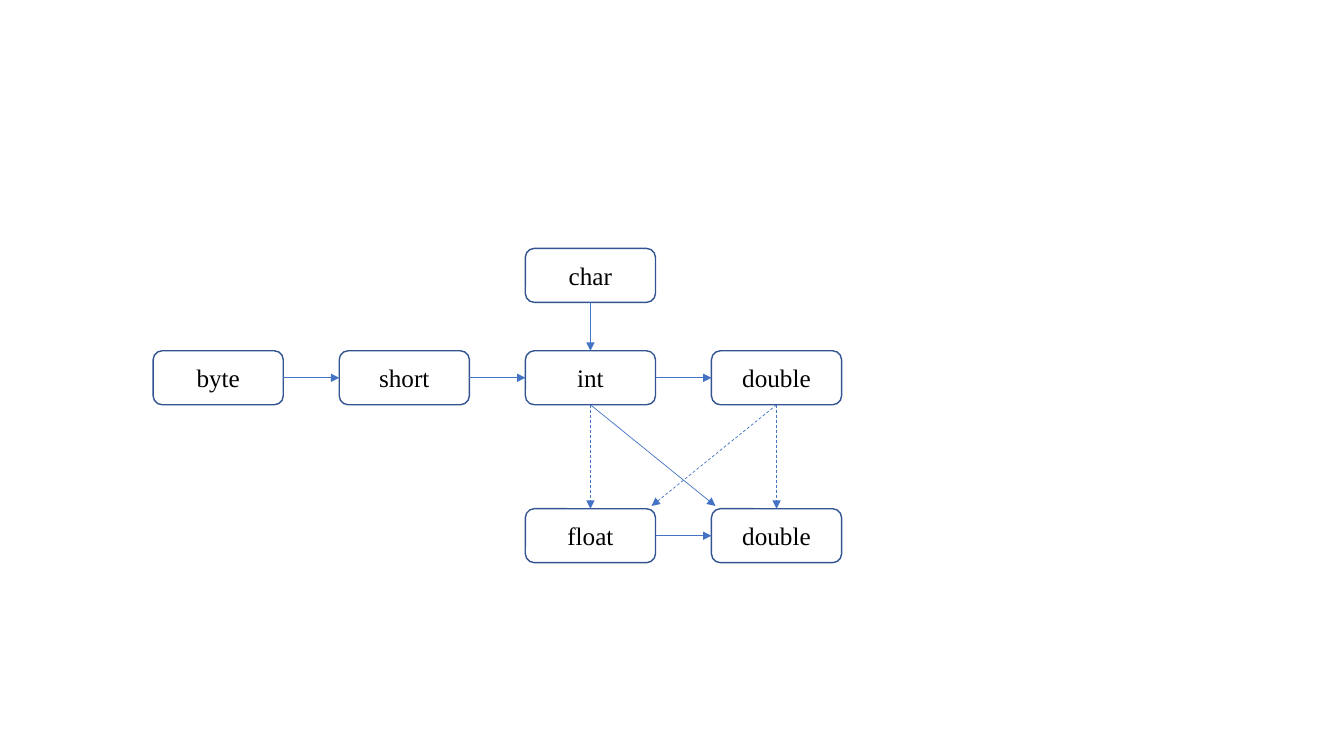
import pptx
import pptx.util
import pptx.dml.color
import pptx.enum.dml
import pptx.enum.shapes
import pptx.enum.text
import pptx.oxml.ns
import lxml.etree

Cm = pptx.util.Cm
Pt = pptx.util.Pt
BORDER = pptx.dml.color.RGBColor(0x32, 0x54, 0x91)
ARROW = pptx.dml.color.RGBColor(0x44, 0x72, 0xC4)
TEXT = pptx.dml.color.RGBColor(0, 0, 0)
TOP, LEFT, BOTTOM, RIGHT = range(4)


class ConversionDiagram:
    font = "Times New Roman"
    font_size = Pt(18)
    box_width, box_height = Cm(3.28), Cm(1.36)
    first_column, column_pitch = Cm(3.86), Cm(4.69)
    row_tops = (Cm(6.26), Cm(8.84), Cm(12.82))
    corner_inset, corner_gap = Cm(0.1), Cm(0.07)

    def __init__(self, slide):
        self.slide = slide

    def type_box(self, label, column, row):
        box = self.slide.shapes.add_shape(
            pptx.enum.shapes.MSO_SHAPE.ROUNDED_RECTANGLE,
            self.first_column + column * self.column_pitch,
            self.row_tops[row], self.box_width, self.box_height)
        box.shadow.inherit = False
        box.fill.background()
        box.line.color.rgb = BORDER
        box.line.width = Pt(1)
        box.text_frame.vertical_anchor = pptx.enum.text.MSO_ANCHOR.MIDDLE
        paragraph = box.text_frame.paragraphs[0]
        paragraph.alignment = pptx.enum.text.PP_ALIGN.CENTER
        run = paragraph.add_run()
        run.text = label
        run.font.name = self.font
        run.font.size = self.font_size
        run.font.color.rgb = TEXT
        return box

    def arrow(self, dashed):
        arrow = self.slide.shapes.add_connector(
            pptx.enum.shapes.MSO_CONNECTOR.STRAIGHT, 0, 0, 0, 0)
        arrow.line.color.rgb = ARROW
        arrow.line.width = Pt(0.5)
        if dashed:
            arrow.line.dash_style = pptx.enum.dml.MSO_LINE.DASH
        qn = pptx.oxml.ns.qn
        properties = arrow._element.spPr
        lxml.etree.SubElement(properties.find(qn("a:ln")), qn("a:tailEnd"), type="triangle")
        lxml.etree.SubElement(properties, qn("a:effectLst"))
        return arrow

    def straight_arrow(self, source, source_side, target, target_side, dashed=False):
        arrow = self.arrow(dashed)
        arrow.begin_connect(source, source_side)
        arrow.end_connect(target, target_side)

    def diagonal_arrow(self, source, target, dashed=False):
        arrow = self.arrow(dashed)
        arrow.begin_connect(source, BOTTOM)
        if target.left > source.left:
            arrow.end_x = target.left + self.corner_inset
        else:
            arrow.end_x = target.left + target.width - self.corner_inset
        arrow.end_y = target.top - self.corner_gap


def main():
    presentation = pptx.Presentation()
    presentation.slide_width = Cm(33.87)
    presentation.slide_height = Cm(19.05)
    slide = presentation.slides.add_slide(presentation.slide_layouts[6])
    diagram = ConversionDiagram(slide)

    integer_chain = [diagram.type_box(label, column, 1)
                     for column, label in enumerate(("byte", "short", "int", "double"))]
    int_box, upper_double = integer_chain[2:]
    char_box = diagram.type_box("char", 2, 0)
    float_box = diagram.type_box("float", 2, 2)
    lower_double = diagram.type_box("double", 3, 2)

    for source, target in [*zip(integer_chain, integer_chain[1:]), (float_box, lower_double)]:
        diagram.straight_arrow(source, RIGHT, target, LEFT)
    diagram.straight_arrow(char_box, BOTTOM, int_box, TOP)
    for source, target in ((int_box, float_box), (upper_double, lower_double)):
        diagram.straight_arrow(source, BOTTOM, target, TOP, dashed=True)
    diagram.diagonal_arrow(int_box, lower_double)
    diagram.diagonal_arrow(upper_double, float_box, dashed=True)

    presentation.save("out.pptx")


if __name__ == "__main__":
    main()
